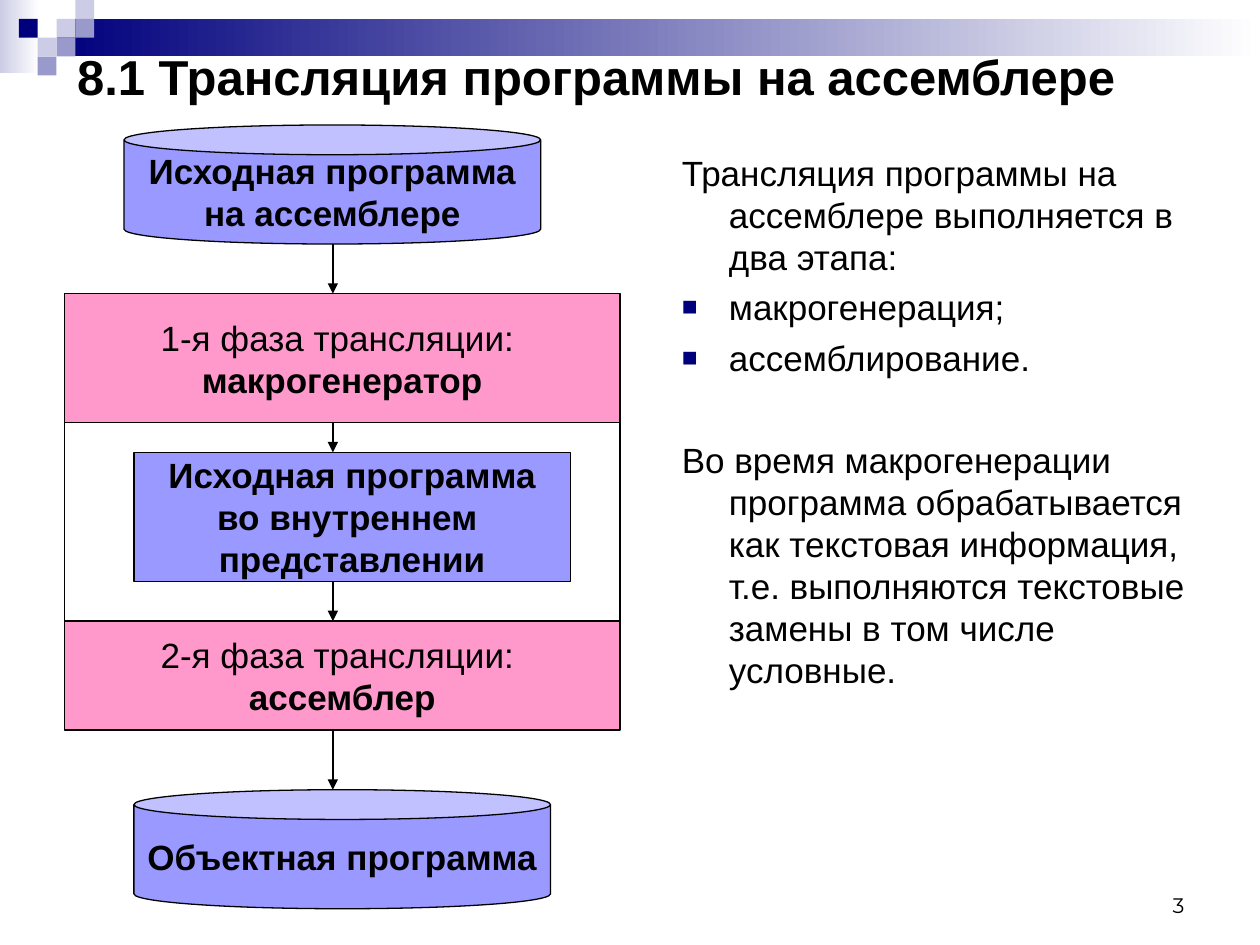
from lxml import etree
from pptx import Presentation
from pptx.dml.color import RGBColor
from pptx.enum.shapes import MSO_CONNECTOR, MSO_SHAPE
from pptx.enum.text import MSO_ANCHOR, MSO_AUTO_SIZE, PP_ALIGN
from pptx.oxml.ns import qn
from pptx.util import Cm, Pt

RECT, CAN = MSO_SHAPE.RECTANGLE, MSO_SHAPE.CAN
LEFT, CENTER, RIGHT = PP_ALIGN.LEFT, PP_ALIGN.CENTER, PP_ALIGN.RIGHT
COLORS = {
    "text": "000000", "white": "FFFFFF", "navy": "00007D", "pale": "CCCCE6",
    "mid": "9999CC", "data": "9999FF", "phase": "FF99CC",
}
UNIT = 0.38  # side of a decorative square, cm
FLOW_X = 6.71  # axis of the arrows, cm


def rgb(name):
    return RGBColor.from_string(COLORS[name])


def box(left, top, width, height):
    return Cm(left), Cm(top), Cm(width), Cm(height)


def place(sp, *cm):
    sp.left, sp.top, sp.width, sp.height = box(*cm)


def add_text(p, text, size=20, bold=False, font="Arial", align=LEFT, before=0):
    p.alignment = align
    p.space_before = Pt(before)
    r = p.add_run()
    r.text = text
    r.font.size, r.font.bold, r.font.name = Pt(size), bold, font
    r.font.color.rgb = rgb("text")


def next_paragraph(tf, index):
    return tf.paragraphs[0] if index == 0 else tf.add_paragraph()


def add_block(s, kind, cm, fill, lines=(), outline=True):
    """Add a filled shape; lines are (text, bold) pairs."""
    sp = s.shapes.add_shape(kind, *box(*cm))
    sp.shadow.inherit = False
    if isinstance(fill, tuple):
        sp.fill.gradient()
        sp.fill.gradient_angle = 0
        for stop, name in zip(sp.fill.gradient_stops, fill):
            stop.color.rgb = rgb(name)
    else:
        sp.fill.solid()
        sp.fill.fore_color.rgb = rgb(fill)
    if outline:
        sp.line.color.rgb = rgb("text")
        sp.line.width = Pt(0.75)
    else:
        sp.line.fill.background()
    tf = sp.text_frame
    tf.word_wrap = False
    tf.vertical_anchor = MSO_ANCHOR.MIDDLE
    for i, (text, bold) in enumerate(lines):
        add_text(next_paragraph(tf, i), text, bold=bold, align=CENTER)


def add_arrow(s, top, bottom):
    c = s.shapes.add_connector(MSO_CONNECTOR.STRAIGHT, Cm(FLOW_X), Cm(top),
                               Cm(FLOW_X), Cm(bottom))
    c.line.color.rgb = rgb("text")
    c.line.width = Pt(0.75)
    etree.SubElement(c.line._get_or_add_ln(), qn("a:tailEnd"), type="triangle")
    etree.SubElement(c._element.spPr, qn("a:effectLst"))


def set_bullet(p, bullet):
    """Give a hanging indent, with a square bullet or none."""
    pPr = p._p.get_or_add_pPr()
    pPr.set("marL", str(Cm(0.95)))
    pPr.set("indent", str(-Cm(0.95)))
    if not bullet:
        etree.SubElement(pPr, qn("a:buNone"))
        return
    color = etree.SubElement(pPr, qn("a:buClr"))
    etree.SubElement(color, qn("a:srgbClr"), val=COLORS["navy"])
    etree.SubElement(pPr, qn("a:buSzPct"), val="75000")
    etree.SubElement(pPr, qn("a:buFont"), typeface="Arial")
    etree.SubElement(pPr, qn("a:buChar"), char="■")


def add_decoration(s):
    add_block(s, RECT, (0, 0, 0.79, 1.47), ("pale", "white"), outline=False)
    add_block(s, RECT, (1.14, UNIT, 24.26, 0.76), ("navy", "white"), outline=False)
    squares = [(3, 1, "pale"), (4, 0, "pale"), (4, 1, "mid"), (2, 2, "pale"),
               (1, 1, "navy"), (3, 2, "mid"), (2, 3, "mid")]
    for col, row, color in squares:
        add_block(s, RECT, (col * UNIT, row * UNIT, UNIT, UNIT), color, outline=False)


def add_flowchart(s):
    left, width = 1.3, 11.2
    add_block(s, RECT, (left, 5.92, width, 2.6), "phase",
              [("1-я фаза трансляции: ", False), ("макрогенератор", True)])
    add_block(s, RECT, (left, 8.52, width, 4), "white")
    add_block(s, RECT, (2.7, 9.12, 8.8, 2.6), "data",
              [("Исходная программа", True), ("во внутреннем ", True),
               ("представлении", True)])
    add_block(s, RECT, (left, 12.52, width, 2.2), "phase",
              [("2-я фаза трансляции: ", False), ("ассемблер", True)])
    add_block(s, CAN, (2.5, 2.52, 8.4, 2.4), "data",
              [("Исходная программа", True), ("на ассемблере", True)])
    add_block(s, CAN, (2.7, 15.92, 8.4, 2.4), "data", [("Объектная программа", True)])
    for top, bottom in [(4.92, 5.92), (8.52, 9.12), (11.72, 12.52), (14.72, 15.92)]:
        add_arrow(s, top, bottom)


def fill_title(sp):
    place(sp, 1.3, 0.71, 22.86, 1.63)
    tf = sp.text_frame
    tf.auto_size = MSO_AUTO_SIZE.NONE
    tf.vertical_anchor = MSO_ANCHOR.MIDDLE
    add_text(tf.paragraphs[0], "8.1 Трансляция программы на ассемблере",
             size=28, bold=True)


def fill_body(sp):
    place(sp, 13.49, 2.92, 11.4, 15.19)
    tf = sp.text_frame
    tf.auto_size = MSO_AUTO_SIZE.NONE
    items = [
        ("Трансляция программы на ассемблере выполняется в два этапа:", False, 0),
        ("макрогенерация;", True, 5),
        ("ассемблирование.", True, 5),
        ("Во время макрогенерации программа обрабатывается как текстовая "
         "информация, т.е. выполняются текстовые замены в том числе условные.",
         False, 34),
    ]
    for i, (text, bullet, before) in enumerate(items):
        p = next_paragraph(tf, i)
        set_bullet(p, bullet)
        add_text(p, text, before=before)


def add_page_number(s):
    tf = s.shapes.add_textbox(*box(18.2, 17.35, 5.93, 1.27)).text_frame
    tf.word_wrap = True
    tf.vertical_anchor = MSO_ANCHOR.BOTTOM
    add_text(tf.paragraphs[0], "3", size=12, font="Montserrat", align=RIGHT)


def main():
    prs = Presentation()
    prs.slide_width, prs.slide_height = Cm(25.4), Cm(19.05)
    s = prs.slides.add_slide(prs.slide_layouts[1])
    add_decoration(s)
    title, body = s.shapes.title, s.placeholders[1]
    fill_title(title)
    fill_body(body)
    # Placeholders come first in the tree; bring them above the decoration.
    for sp in (title, body):
        s.shapes._spTree.append(sp._element)
    add_flowchart(s)
    add_page_number(s)
    prs.save("out.pptx")


if __name__ == "__main__":
    main()
